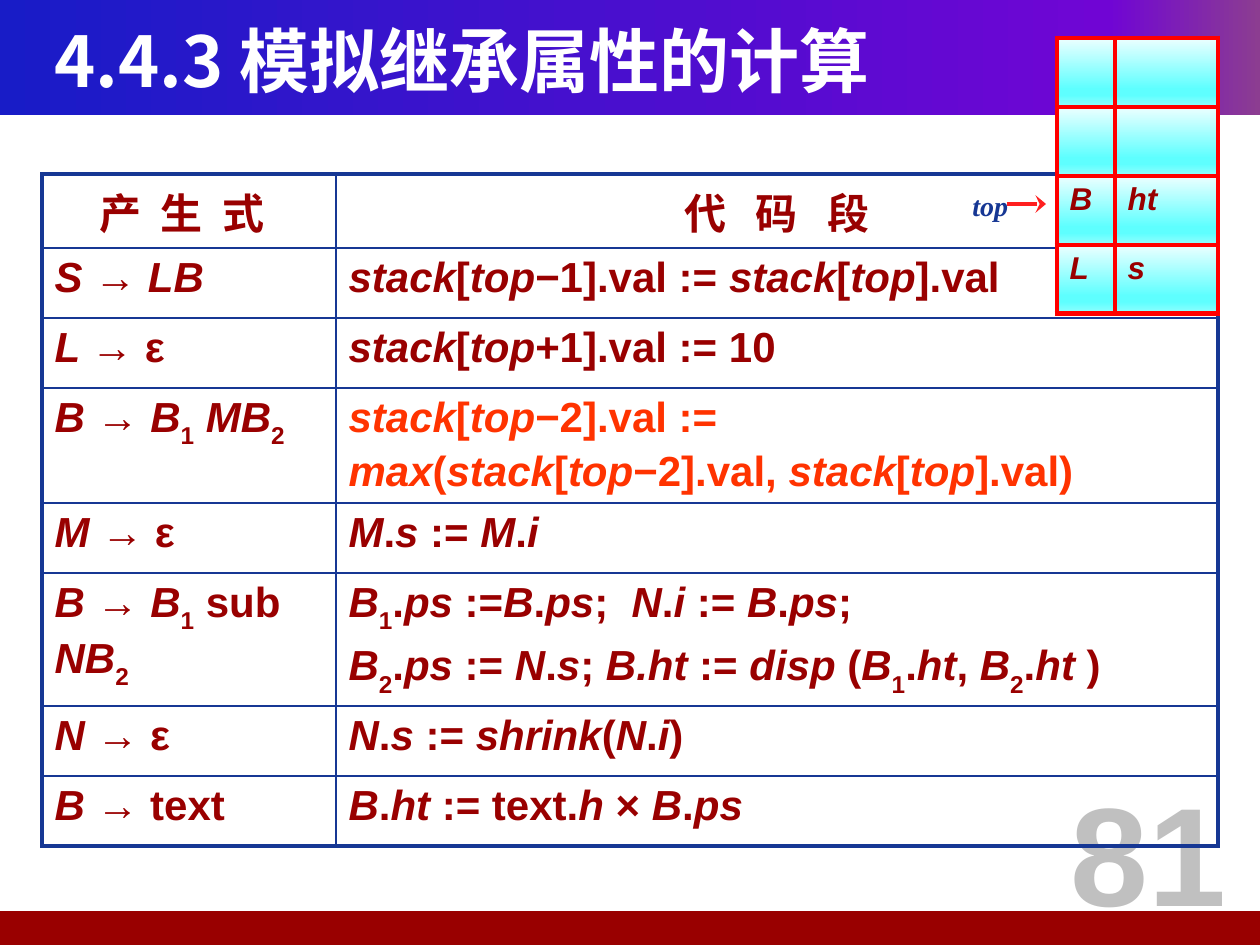
"""Build the slide on simulating the computation of inherited attributes."""
from dataclasses import dataclass

import pptx
import pptx.dml.color
import pptx.enum.dml
import pptx.enum.shapes
import pptx.enum.text
import pptx.oxml
import pptx.oxml.ns
import pptx.util

qn = pptx.oxml.ns.qn
ALIGN = pptx.enum.text.PP_ALIGN
ANCHOR = pptx.enum.text.MSO_ANCHOR
SHAPE = pptx.enum.shapes.MSO_SHAPE


@dataclass(frozen=True)
class Theme:
    sans: str = "Arial"
    cjk: str = "Noto Sans CJK SC"
    serif: str = "Times New Roman"
    dark_red: str = "990000"
    orange: str = "FF3300"
    navy: str = "163794"
    red: str = "FF0000"
    arrow: str = "FF2020"
    white: str = "FFFFFF"
    grey: str = "C0C0C0"
    band: tuple = ((0, "0A128C"), (0, "181CC7"), (88, "7005D4"), (100, "8C3D91"))
    cell: tuple = ((0, "EDFFFF"), (74, "5EFFFF"), (83, "5EFFFF"), (100, "94FFFF"))
    title: int = 40
    body: int = 24
    stack: int = 18
    label: int = 16
    number: int = 80


T = Theme()


@dataclass(frozen=True)
class Rule:
    production: str
    code: str
    height: int = 70
    color: str = T.dark_red


@dataclass(frozen=True)
class Border:
    color: str
    outer: float
    inner: float


RULES = (
    Rule("*S *→* LB*", "*stack*[*top*−1].val := *stack*[*top*].val"),
    Rule("*L *→ ε", "*stack*[*top*+1].val := 10"),
    Rule("*B *→* B*_1_* MB*_2_",
         "*stack*[*top*−2].val := \n*max*(*stack*[*top*−2].val, *stack*[*top*].val) ",
         114, T.orange),
    Rule("*M *→ ε", "*M*.*s *:= *M*.*i*"),
    Rule("*B *→* B*_1_ sub* NB*_2_",
         "*B*_1_.*ps* :=*B*.*ps*;  *N*.*i* := *B*.*ps*;\n"
         "*B*_2_.*ps* := *N*.*s*; *B.ht* := *disp* (*B*_1_.*ht*, *B*_2_.*ht *) ",
         133),
    Rule("*N *→ ε", "*N*.*s *:= *shrink*(*N*.*i*)"),
    Rule("*B *→ text", "*B*.*ht* := text.*h *×* B*.*ps*"),
)
STACK = (("", ""), ("", ""), ("*B*", "*ht*"), ("*L*", "*s*"))


def px(n: int) -> pptx.util.Emu:
    """Turn pixels into EMU."""
    return pptx.util.Emu(round(n * 914400 / 126))


def rgb(color: str) -> pptx.dml.color.RGBColor:
    """Turn a hex string into a colour."""
    return pptx.dml.color.RGBColor.from_string(color)


def add_run(p, text: str, *, size: int, color: str, font: str = T.sans,
            italic: bool = False, sub: bool = False, spacing: float = 0) -> None:
    """Add one bold run with its format."""
    r = p.add_run()
    r.text = text
    r.font.size, r.font.name = pptx.util.Pt(size), font
    r.font.bold, r.font.italic = True, italic
    r.font.color.rgb = rgb(color)
    rPr = r.font._element
    rPr.find(qn("a:latin")).addnext(rPr.makeelement(qn("a:ea"), {"typeface": font}))
    if sub:
        rPr.set("baseline", "-30000")
    if spacing:
        rPr.set("spc", str(round(spacing * 100)))


def write(tf, text: str, *, align=ALIGN.LEFT, **fmt) -> None:
    """Write lines in which *stars* mark italics and _underscores_ subscripts."""
    for i, line in enumerate(text.split("\n")):
        p = tf.add_paragraph() if i else tf.paragraphs[0]
        p.alignment = align
        if i:
            p.space_before = pptx.util.Pt(4.5)
        for j, part in enumerate(line.split("*")):
            for k, piece in enumerate(part.split("_")):
                if piece:
                    add_run(p, piece, italic=j % 2 == 1, sub=k % 2 == 1, **fmt)


def set_gradient(fill, element, stops: tuple, angle: int) -> None:
    """Fill an element with a linear gradient of several stops."""
    fill.gradient()
    fill.gradient_angle = angle
    stop_list = next(element.iter(qn("a:gsLst")))
    for child in list(stop_list):
        stop_list.remove(child)
    for position, color in stops:
        gs = stop_list.makeelement(qn("a:gs"), {"pos": str(position * 1000)})
        gs.append(gs.makeelement(qn("a:srgbClr"), {"val": color}))
        stop_list.append(gs)


def add_bar(s, x: int, y: int, w: int, h: int):
    """Add a rectangle without line or shadow."""
    sp = s.shapes.add_shape(SHAPE.RECTANGLE, px(x), px(y), px(w), px(h))
    sp.shadow.inherit = False
    sp.line.fill.background()
    return sp


def add_label(s, text: str, x: int, y: int, w: int, h: int, *, wrap: bool = True,
              anchor=ANCHOR.TOP, **fmt):
    """Add a text box and return its text frame."""
    tf = s.shapes.add_textbox(px(x), px(y), px(w), px(h)).text_frame
    tf.word_wrap, tf.vertical_anchor = wrap, anchor
    write(tf, text, **fmt)
    return tf


def set_borders(cell, edges: dict, color: str) -> None:
    """Draw the four borders of a cell, with widths in points by side."""
    tcPr = cell._tc.get_or_add_tcPr()
    for side, width in edges.items():
        tcPr.append(pptx.oxml.parse_xml(
            f'<a:ln{side} xmlns:a="http://schemas.openxmlformats.org/drawingml/2006/main"'
            f' w="{round(width * 12700)}"><a:solidFill><a:srgbClr val="{color}"/>'
            f'</a:solidFill></a:ln{side}>'))


def add_grid(s, x: int, y: int, widths: tuple, heights: tuple, border: Border):
    """Add a plain table with outer and inner borders."""
    frame = s.shapes.add_table(len(heights), len(widths), px(x), px(y),
                               px(sum(widths)), px(sum(heights)))
    table = frame.table
    table.first_row = table.horz_banding = False
    for column, w in zip(table.columns, widths):
        column.width = px(w)
    for row, h in zip(table.rows, heights):
        row.height = px(h)
    last_row, last_col = len(heights) - 1, len(widths) - 1
    for i, row in enumerate(table.rows):
        for j, cell in enumerate(row.cells):
            at_edge = {"L": j == 0, "R": j == last_col, "T": i == 0, "B": i == last_row}
            set_borders(cell, {side: border.outer if edge else border.inner
                               for side, edge in at_edge.items()}, border.color)
            cell.fill.background()
    return table


def add_title(s) -> None:
    """Place and fill the title above the band."""
    sp = s.shapes.title
    sp.left, sp.top, sp.width, sp.height = px(42), px(21), px(1166), px(78)
    tf = sp.text_frame
    tf.auto_size = pptx.enum.text.MSO_AUTO_SIZE.NONE
    tf.vertical_anchor = ANCHOR.MIDDLE
    write(tf, "4.4.3 模拟继承属性的计算", size=T.title, color=T.white, font=T.cjk)
    s.shapes._spTree.append(sp._element)


def add_rules(s) -> None:
    """Add the table of productions and code."""
    heights = (74, *(rule.height for rule in RULES))
    table = add_grid(s, 42, 174, (294, 882), heights, Border(T.navy, 2.25, 1))
    for j, (text, spacing) in enumerate((("产 生 式 ", 2.9), ("代 码 段", 5.6))):
        write(table.cell(0, j).text_frame, text, align=ALIGN.CENTER, size=T.body,
              color=T.dark_red, font=T.cjk, spacing=spacing)
    for i, rule in enumerate(RULES, 1):
        write(table.cell(i, 0).text_frame, rule.production, size=T.body, color=T.dark_red)
        write(table.cell(i, 1).text_frame, rule.code, size=T.body, color=rule.color)
        table.cell(i, 1).margin_bottom = 0


def add_arrow(s) -> None:
    """Add the arrow that points at the top of the stack."""
    line = s.shapes.add_connector(pptx.enum.shapes.MSO_CONNECTOR.STRAIGHT,
                                  px(1007), px(204), px(1046), px(204))
    line.line.color.rgb, line.line.width = rgb(T.arrow), pptx.util.Pt(2)
    ln = line.line._get_or_add_ln()
    ln.append(ln.makeelement(qn("a:tailEnd"), {"type": "stealth", "w": "lg"}))
    ln.addnext(ln.makeelement(qn("a:effectLst"), {}))


def add_stack(s) -> None:
    """Add the stack with its gradient cells."""
    table = add_grid(s, 1057, 38, (58, 103), (69,) * len(STACK), Border(T.red, 3, 3))
    for i, row in enumerate(STACK):
        for j, text in enumerate(row):
            cell = table.cell(i, j)
            set_gradient(cell.fill, cell._tc, T.cell, 270)
            write(cell.text_frame, text, size=T.stack, color=T.dark_red)


def main() -> None:
    """Build and save the slide."""
    prs = pptx.Presentation()
    prs.slide_width, prs.slide_height = px(1260), px(945)
    s = prs.slides.add_slide(prs.slide_layouts[5])
    band = add_bar(s, 0, 0, 1260, 115)
    set_gradient(band.fill, band._element, T.band, 0)
    footer = add_bar(s, -5, 911, 1265, 34)
    footer.fill.solid()
    footer.fill.fore_color.rgb = rgb(T.dark_red)
    add_title(s)
    number = add_label(s, "81", 1037, 760, 223, 179, align=ALIGN.CENTER,
                       size=T.number, color=T.grey)
    number.margin_top = px(7)
    add_rules(s)
    add_arrow(s)
    add_stack(s)
    label = add_label(s, "*top*", 960, 185, 59, 40, wrap=False, anchor=ANCHOR.MIDDLE,
                      size=T.label, color=T.navy, font=T.serif)
    label.margin_right = 0
    prs.save("out.pptx")


if __name__ == "__main__":
    main()
